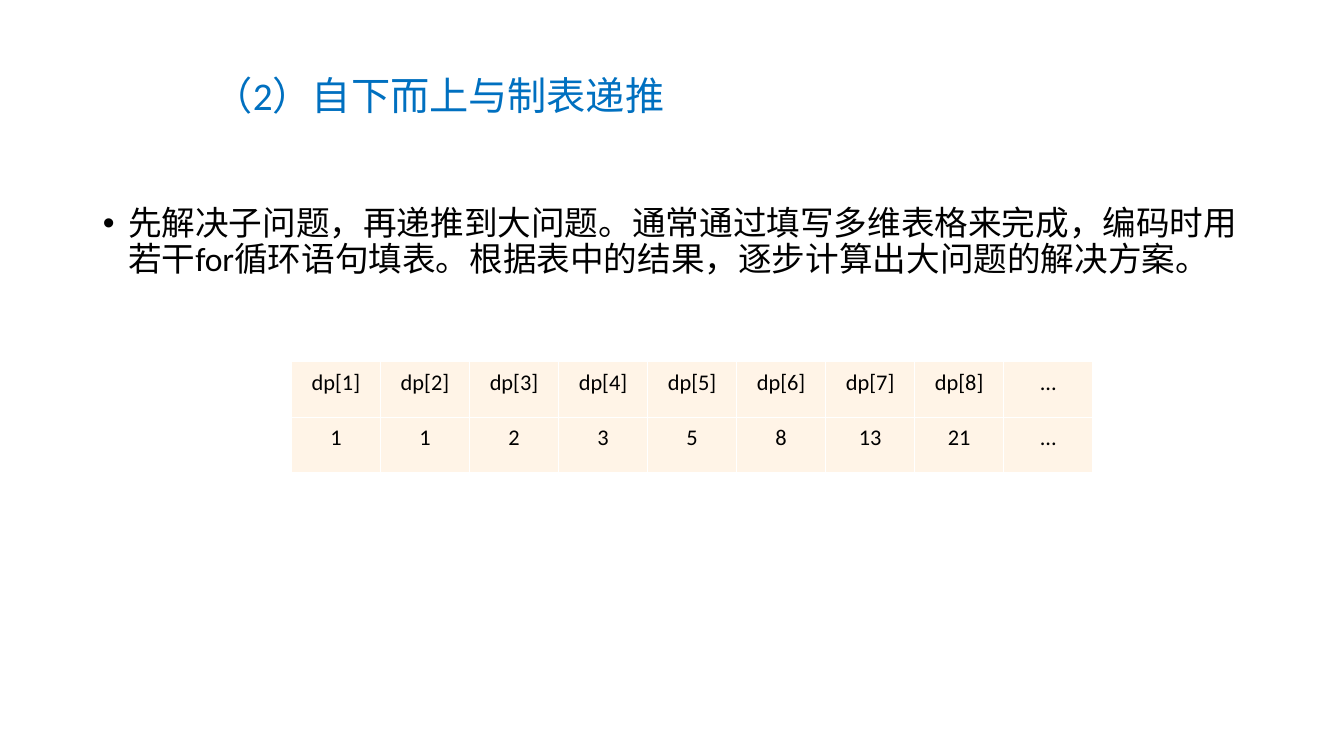
from pptx import Presentation
from pptx.dml.color import RGBColor
from pptx.enum.text import MSO_ANCHOR, MSO_AUTO_SIZE, PP_ALIGN
from pptx.util import Inches, Pt

LEFT, CENTER = PP_ALIGN.LEFT, PP_ALIGN.CENTER
TOP, MIDDLE = MSO_ANCHOR.TOP, MSO_ANCHOR.MIDDLE
FIXED = MSO_AUTO_SIZE.NONE


def color(code):
    return RGBColor.from_string(code)


def write(frame, text, size, ink="000000", align=LEFT, line=0.9, before=0, after=0):
    para = frame.paragraphs[0]
    para.alignment = align
    para.line_spacing = line
    para.space_before = Pt(before)
    para.space_after = Pt(after)
    run = para.add_run()
    run.text = text
    run.font.name = "Calibri"
    run.font.size = Pt(size)
    run.font.color.rgb = color(ink)
    return para


prs = Presentation()
prs.slide_width = Inches(13.33)
prs.slide_height = Inches(7.5)
slide = prs.slides.add_slide(prs.slide_layouts[1])

# Title and body
title, body = slide.placeholders
boxes = [
    (title, (2.02, 0.35, 9, 1.25), MIDDLE),
    (body, (0.92, 2, 11.5, 4.76), TOP),
]
for shape, place, anchor in boxes:
    shape.left, shape.top, shape.width, shape.height = map(Inches, place)
    shape.text_frame.auto_size = FIXED
    shape.text_frame.vertical_anchor = anchor

write(title.text_frame, "（2）自下而上与制表递推", 28, ink="0070C0")
point = write(
    body.text_frame,
    "先解决子问题，再递推到大问题。通常通过填写多维表格来完成，编码时用若干for循环语句填表。"
    "根据表中的结果，逐步计算出大问题的解决方案。",
    24,
    before=10,
)
props = point._p.get_or_add_pPr()
props.set("marL", str(Inches(0.25)))
props.set("indent", str(Inches(-0.25)))

# Table of Fibonacci states
values = [1, 1, 2, 3, 5, 8, 13, 21]
rows = [
    [f"dp[{n}]" for n in range(1, len(values) + 1)] + ["..."],
    [str(value) for value in values] + ["..."],
]
table = slide.shapes.add_table(
    len(rows), len(rows[0]), Inches(2.89), Inches(3.59), Inches(7.95), Inches(1.1)
).table
table.first_row = False
table.horz_banding = False
for r, row in enumerate(rows):
    for c, text in enumerate(row):
        cell = table.cell(r, c)
        cell.fill.solid()
        cell.fill.fore_color.rgb = color("FFF4E7")
        cell.margin_left = cell.margin_right = Inches(0.07)
        cell.margin_top = cell.margin_bottom = Inches(0.05)
        write(cell.text_frame, text, 16, align=CENTER, line=1.07, after=8)

prs.save("out.pptx")
